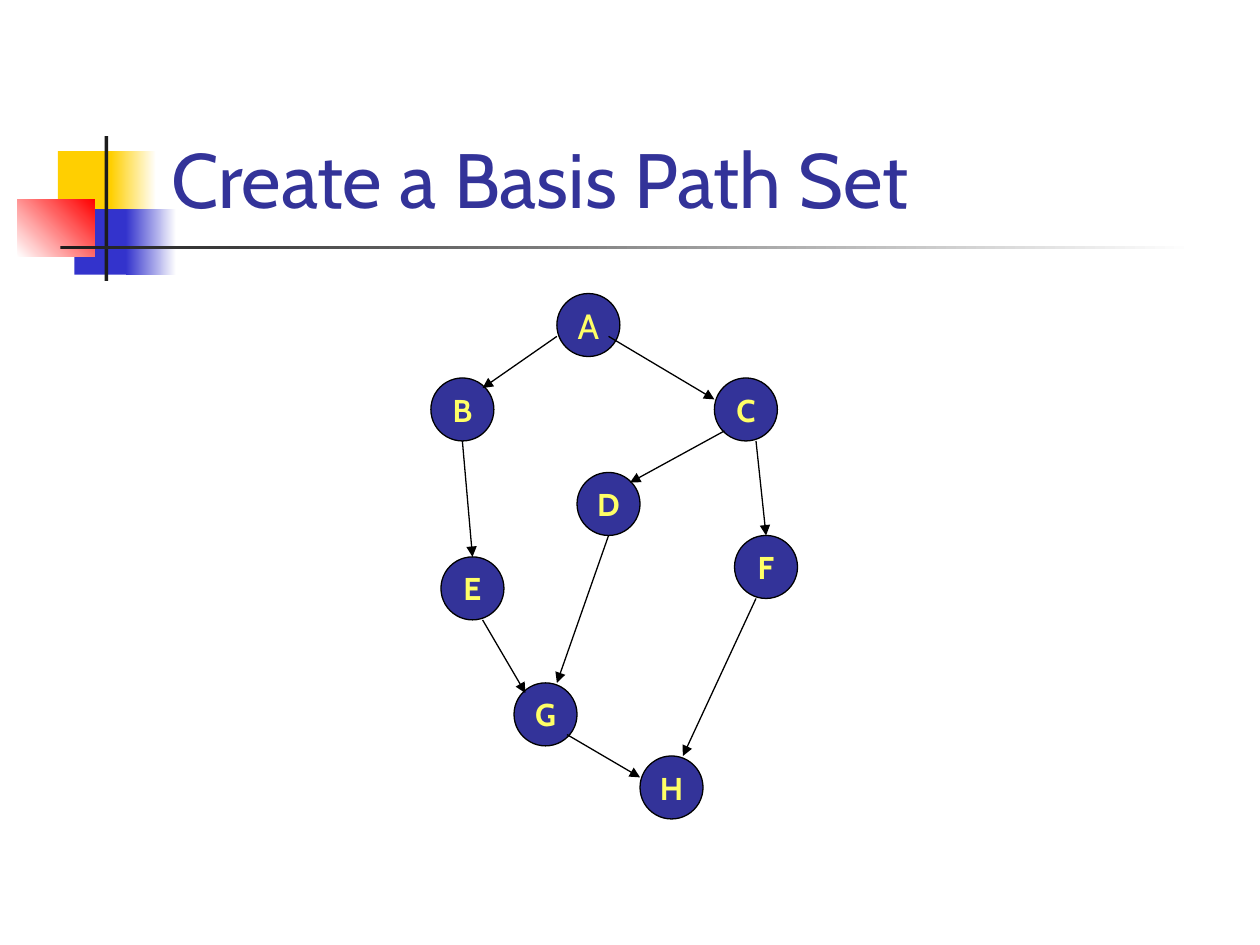
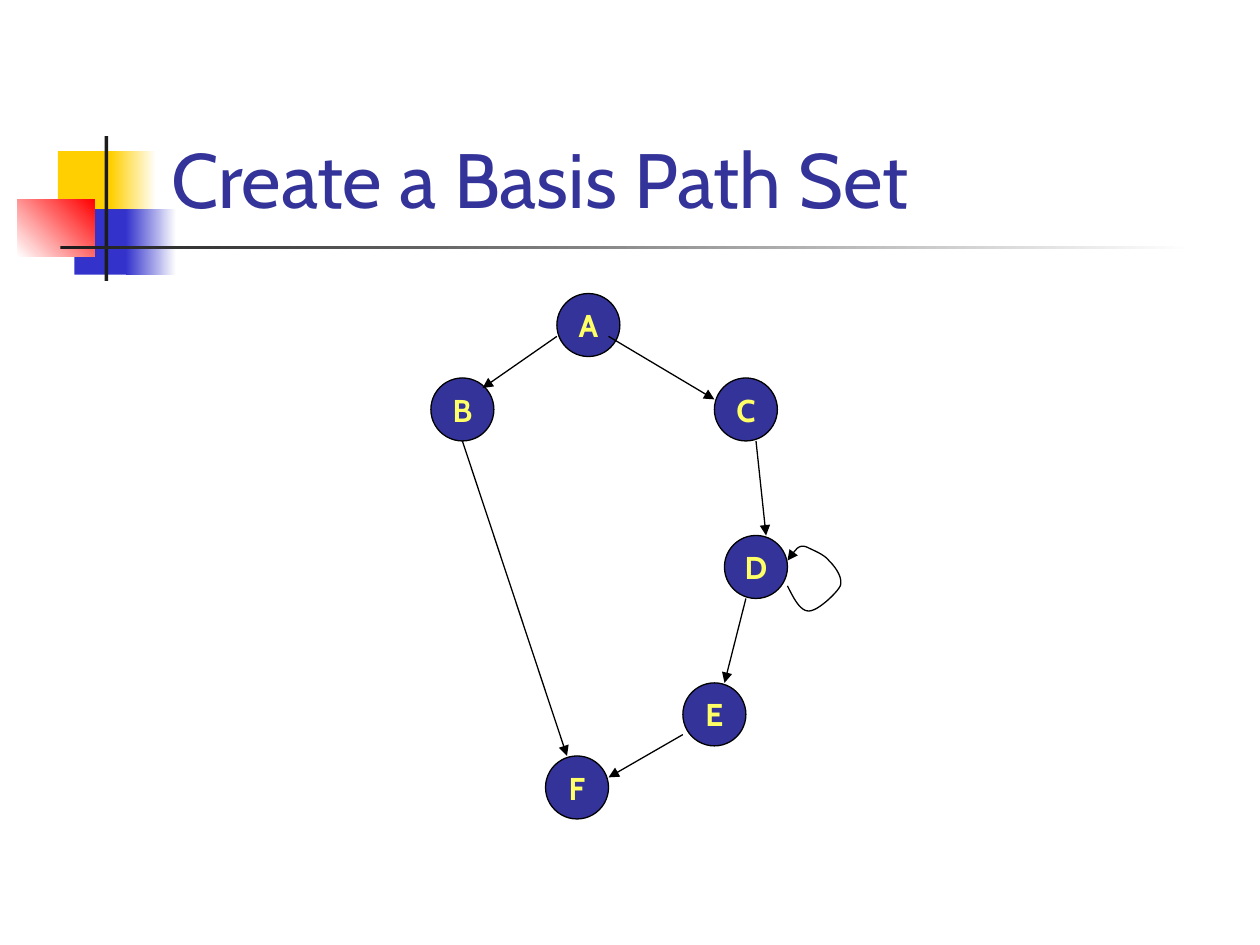
from dataclasses import dataclass
from typing import NamedTuple

from pptx import Presentation
from pptx.dml.color import RGBColor
from pptx.enum.shapes import MSO_CONNECTOR as Connector, MSO_SHAPE as Shape
from pptx.enum.text import MSO_ANCHOR as Anchor, PP_ALIGN as Align
from pptx.oxml.ns import qn
from pptx.oxml.xmlchemy import OxmlElement
from pptx.util import Inches, Pt

COLORS = {
    "white": "FFFFFF", "black": "000000", "yellow": "FFCF01", "blue": "3333CC",
    "red": "FF0000", "charcoal": "1C1C1C", "navy": "333399", "lemon": "FFFF66",
}
FONT = "Cabin"
TITLE = "Create a Basis Path Set"
TITLE_FORMAT = {"name": FONT, "size": Pt(44), "bold": False}
NODE_FORMAT = {"name": FONT, "size": Pt(18), "bold": True}
PLAIN_FORMAT = {"name": FONT, "size": Pt(20), "bold": False}
NODE_SIZE = 0.5
LINE_WIDTH = Pt(0.75)
CURVE_STEPS = 12

Point = tuple[float, float]


class Band(NamedTuple):
    left: float
    top: float
    width: float
    height: float
    start: str
    end: str | None = None
    angle: int = 0


class Node(NamedTuple):
    label: str
    left: float
    top: float
    bold: bool = True


class Edge(NamedTuple):
    start: Point
    end: Point


class Curve(NamedTuple):
    control1: Point
    control2: Point
    end: Point


@dataclass(frozen=True)
class Graph:
    nodes: list[Node]
    edges: list[Edge]
    loop_start: Point | None = None
    loop: tuple[Curve, ...] = ()


BANDS = [
    Band(0.46, 1.2, 0.48, 0.52, "yellow"),
    Band(0.88, 1.2, 0.36, 0.52, "yellow", "white"),
    Band(0.59, 1.66, 0.46, 0.52, "blue"),
    Band(1, 1.66, 0.4, 0.52, "blue", "white"),
    Band(0.14, 1.58, 0.61, 0.46, "white", "red", 45),
    Band(0.83, 1.08, 0.03, 1.15, "charcoal"),
    Band(0.48, 1.95, 9, 0.03, "charcoal", "white"),
]

# Parts found in both graphs
BRANCHES = [Node("B", 3.42, 3), Node("C", 5.67, 3)]
BRANCH_EDGES = [
    Edge((4.42, 2.67), (3.83, 3.08)),
    Edge((4.83, 2.67), (5.67, 3.17)),
    Edge((6, 3.5), (6.08, 4.25)),
]

GRAPHS = [
    Graph(
        nodes=[
            Node("A", 4.42, 2.33, bold=False), *BRANCHES,
            Node("D", 4.58, 3.75), Node("E", 3.5, 4.42), Node("F", 5.83, 4.25),
            Node("G", 4.08, 5.42), Node("H", 5.08, 6),
        ],
        edges=[
            *BRANCH_EDGES,
            Edge((3.67, 3.5), (3.75, 4.42)),
            Edge((5.75, 3.42), (5, 3.83)),
            Edge((4.83, 4.25), (4.42, 5.42)),
            Edge((3.83, 4.92), (4.17, 5.5)),
            Edge((4.5, 5.83), (5.08, 6.17)),
            Edge((6, 4.75), (5.42, 6)),
        ],
    ),
    Graph(
        nodes=[
            Node("A", 4.42, 2.33), *BRANCHES,
            Node("D", 5.75, 4.25), Node("E", 5.42, 5.42), Node("F", 4.33, 6),
        ],
        edges=[
            *BRANCH_EDGES,
            Edge((3.67, 3.5), (4.5, 6)),
            Edge((5.92, 4.75), (5.75, 5.42)),
            Edge((5.42, 5.83), (4.83, 6.17)),
        ],
        loop_start=(6.25, 4.65),
        loop=(
            Curve((6.3, 4.75), (6.35, 4.85), (6.42, 4.85)),
            Curve((6.49, 4.85), (6.64, 4.71), (6.67, 4.65)),
            Curve((6.69, 4.58), (6.63, 4.5), (6.58, 4.45)),
            Curve((6.54, 4.4), (6.46, 4.37), (6.42, 4.35)),
            Curve((6.38, 4.33), (6.36, 4.33), (6.33, 4.35)),
            Curve((6.31, 4.37), (6.26, 4.43), (6.25, 4.45)),
        ),
    ),
]


def rgb(name: str) -> RGBColor:
    return RGBColor.from_string(COLORS[name])


def write(p, text: str, color: str, values: dict) -> None:
    r = p.add_run()
    r.text = text
    for key, value in values.items():
        setattr(r.font, key, value)
    r.font.color.rgb = rgb(color)


def set_line(sp) -> None:
    sp.line.color.rgb = rgb("black")
    sp.line.width = LINE_WIDTH


def add_arrowhead(sp) -> None:
    tail = OxmlElement("a:tailEnd")
    tail.set("type", "triangle")
    sp._element.spPr.find(qn("a:ln")).append(tail)


def draw_band(slide, band: Band) -> None:
    box = map(Inches, band[:4])
    sp = slide.shapes.add_shape(Shape.RECTANGLE, *box)
    sp.shadow.inherit = False
    sp.line.fill.background()
    if band.end is None:
        sp.fill.solid()
        sp.fill.fore_color.rgb = rgb(band.start)
        return
    sp.fill.gradient()
    sp.fill.gradient_angle = band.angle
    for stop, color in zip(sp.fill.gradient_stops, (band.start, band.end)):
        stop.color.rgb = rgb(color)


def draw_title(slide) -> None:
    box = map(Inches, (1.26, 0.23, 8.52, 1.6))
    tf = slide.shapes.add_textbox(*box).text_frame
    tf.word_wrap = True
    tf.vertical_anchor = Anchor.BOTTOM
    write(tf.paragraphs[0], TITLE, "navy", TITLE_FORMAT)


def draw_node(slide, node: Node) -> None:
    box = map(Inches, (node.left, node.top, NODE_SIZE, NODE_SIZE))
    sp = slide.shapes.add_shape(Shape.OVAL, *box)
    sp.shadow.inherit = False
    sp.fill.solid()
    sp.fill.fore_color.rgb = rgb("navy")
    set_line(sp)
    tf = sp.text_frame
    tf.word_wrap = False
    tf.vertical_anchor = Anchor.MIDDLE
    p = tf.paragraphs[0]
    p.alignment = Align.CENTER
    write(p, node.label, "lemon", NODE_FORMAT if node.bold else PLAIN_FORMAT)


def draw_edge(slide, edge: Edge) -> None:
    ends = map(Inches, (*edge.start, *edge.end))
    sp = slide.shapes.add_connector(Connector.STRAIGHT, *ends)
    set_line(sp)
    add_arrowhead(sp)
    sp._element.spPr.append(OxmlElement("a:effectLst"))


def curve_points(start: Point, curve: Curve) -> list[Point]:
    """Points along a cubic Bezier curve, without its start."""
    points = []
    for step in range(1, CURVE_STEPS + 1):
        t = step / CURVE_STEPS
        u = 1 - t
        weights = (u**3, 3 * u * u * t, 3 * u * t * t, t**3)
        x, y = (sum(w * c for w, c in zip(weights, axis)) for axis in zip(start, *curve))
        points.append((Inches(x), Inches(y)))
    return points


def draw_loop(slide, start: Point, curves: tuple[Curve, ...]) -> None:
    builder = slide.shapes.build_freeform(*map(Inches, start), scale=1.0)
    for curve in curves:
        builder.add_line_segments(curve_points(start, curve), close=False)
        start = curve.end
    sp = builder.convert_to_shape()
    sp.shadow.inherit = False
    sp.fill.background()
    set_line(sp)
    add_arrowhead(sp)


def draw_slide(prs, graph: Graph) -> None:
    slide = prs.slides.add_slide(prs.slide_layouts[6])
    # Corner motif and title
    for band in BANDS:
        draw_band(slide, band)
    draw_title(slide)
    # Graph
    for node in graph.nodes:
        draw_node(slide, node)
    for edge in graph.edges:
        draw_edge(slide, edge)
    if graph.loop_start:
        draw_loop(slide, graph.loop_start, graph.loop)


def main() -> None:
    prs = Presentation()
    prs.slide_width, prs.slide_height = Inches(10), Inches(7.5)
    for graph in GRAPHS:
        draw_slide(prs, graph)
    prs.save("out.pptx")


if __name__ == "__main__":
    main()
